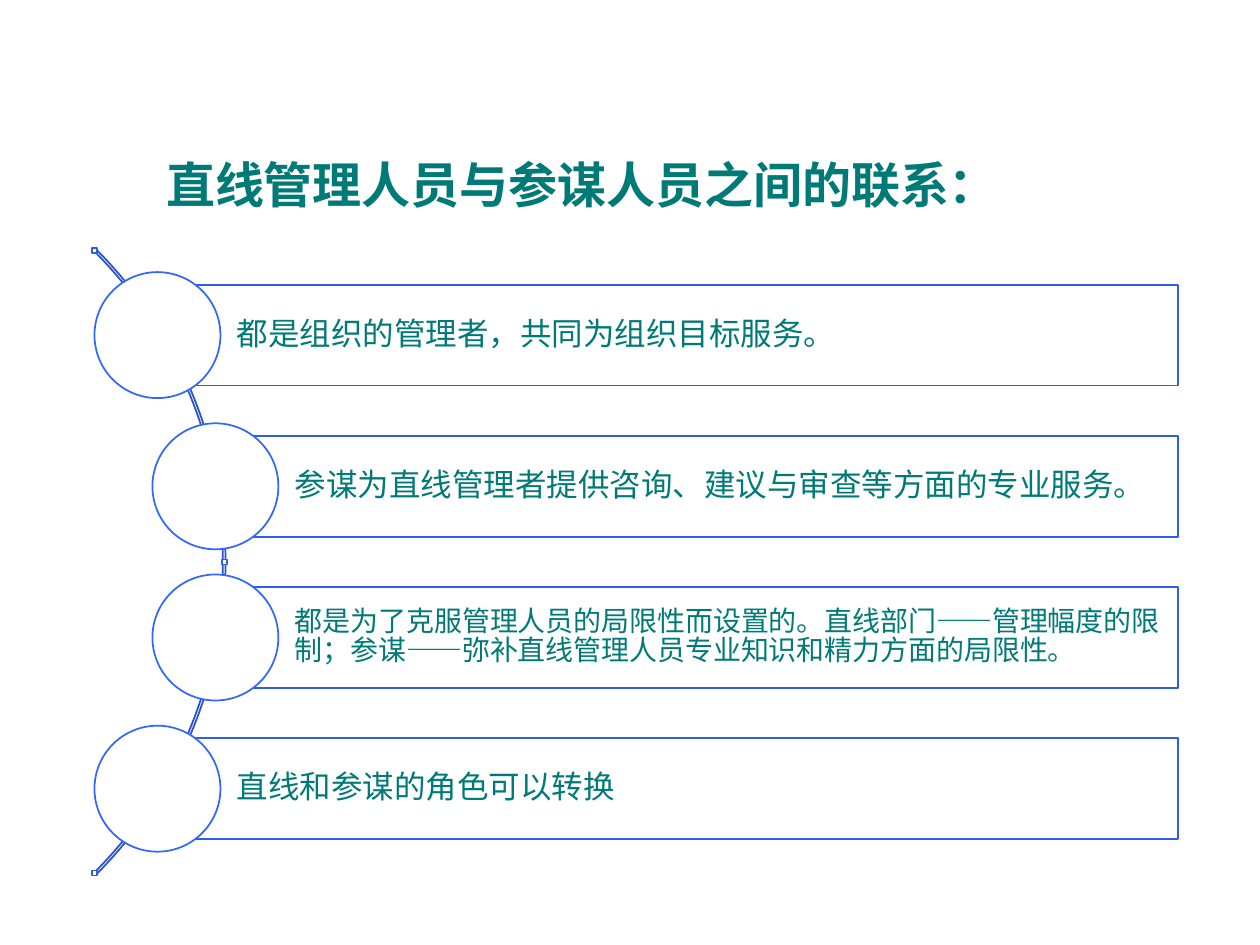
import dataclasses

import lxml.etree
import pptx
import pptx.dml.color
import pptx.enum.shapes
import pptx.enum.text
import pptx.oxml.ns
import pptx.util

SHAPE = pptx.enum.shapes.MSO_SHAPE
ANCHOR = pptx.enum.text.MSO_ANCHOR
PX = pptx.util.Inches(1) // 100


@dataclasses.dataclass(frozen=True)
class Theme:
    text: str = "007A77"
    paper: str = "FFFFFF"
    arc: str = "2952CC"
    bar: str = "2E5DE7"
    circle: str = "3366FF"
    title_font: str = "Arial"
    body_font: str = "Noto Sans CJK SC"
    title_size: int = 28
    body_size: int = 18
    small_size: int = 16
    spacing: float = 0.9
    tight_spacing: float = 0.84


def color(value):
    return pptx.dml.color.RGBColor.from_string(value)


def apply(target, values):
    for name, value in values.items():
        setattr(target, name, value)


class Painter:
    def __init__(self, page, theme):
        self.page = page
        self.theme = theme

    def shape(self, kind, area, line, fill=None):
        shape = self.page.shapes.add_shape(kind, *(value * PX for value in area))
        shape.shadow.inherit = False
        if fill:
            shape.fill.solid()
            shape.fill.fore_color.rgb = color(fill)
        else:
            shape.fill.background()
        shape.line.color.rgb = color(line)
        shape.line.width = pptx.util.Pt(1)
        return shape

    def label(self, box, text, size, font, spacing, bold=False, indent=0, **frame):
        apply(box.text_frame, {"word_wrap": True, **frame})
        para = box.text_frame.paragraphs[0]
        apply(para, {"alignment": pptx.enum.text.PP_ALIGN.LEFT, "line_spacing": spacing})
        if indent:
            para._p.get_or_add_pPr().set("indent", str(indent * PX))
        span = para.add_run()
        span.text = text
        apply(span.font, {"name": font, "size": pptx.util.Pt(size), "bold": bold})
        span.font.color.rgb = color(self.theme.text)
        east = lxml.etree.SubElement(span._r.rPr, pptx.oxml.ns.qn("a:ea"))
        east.set("typeface", self.theme.body_font)

    def title(self, area, text):
        box = self.page.shapes.add_textbox(*(value * PX for value in area))
        self.label(box, text, self.theme.title_size, self.theme.title_font,
                   self.theme.spacing, bold=True, indent=50)

    def arc(self, area):
        arc = self.shape(SHAPE.BLOCK_ARC, area, self.theme.arc)
        for index, value in enumerate((189, 27, 0.003)):
            arc.adjustments[index] = value

    def row(self, center_x, center_y, right, text, size, spacing):
        bar = self.shape(SHAPE.RECTANGLE, (center_x, center_y - 40, right - center_x, 80),
                         self.theme.bar, self.theme.paper)
        inset = 5 * PX
        self.label(bar, text, size, self.theme.body_font, spacing,
                   vertical_anchor=ANCHOR.MIDDLE, margin_left=63 * PX,
                   margin_right=inset, margin_top=inset, margin_bottom=inset)
        self.shape(SHAPE.OVAL, (center_x - 50, center_y - 50, 100, 100),
                   self.theme.circle, self.theme.paper)

    def marker(self, left, top):
        self.shape(SHAPE.RECTANGLE, (left, top, 4, 4), self.theme.bar, self.theme.paper)


def main():
    deck = pptx.Presentation()
    apply(deck, {"slide_width": 1000 * PX, "slide_height": 750 * PX})
    theme = Theme()
    painter = Painter(deck.slides.add_slide(deck.slide_layouts[6]), theme)
    painter.title((72, 123, 862, 63), "直线管理人员与参谋人员之间的联系：")
    painter.arc((-523, 95, 702, 702))
    normal = (theme.body_size, theme.spacing)
    small = (theme.small_size, theme.tight_spacing)
    rows = [
        (125, "都是组织的管理者，共同为组织目标服务。", normal),
        (171, "参谋为直线管理者提供咨询、建议与审查等方面的专业服务。", normal),
        (171, "都是为了克服管理人员的局限性而设置的。直线部门——管理幅度的限制；"
              "参谋——弥补直线管理人员专业知识和精力方面的局限性。", small),
        (125, "直线和参谋的角色可以转换", normal),
    ]
    for index, (center_x, text, style) in enumerate(rows):
        painter.row(center_x, 266 + 120 * index, 935, text, *style)
    for left, top in ((73, 197), (176, 444), (73, 691)):
        painter.marker(left, top)
    deck.save("out.pptx")


if __name__ == "__main__":
    main()
